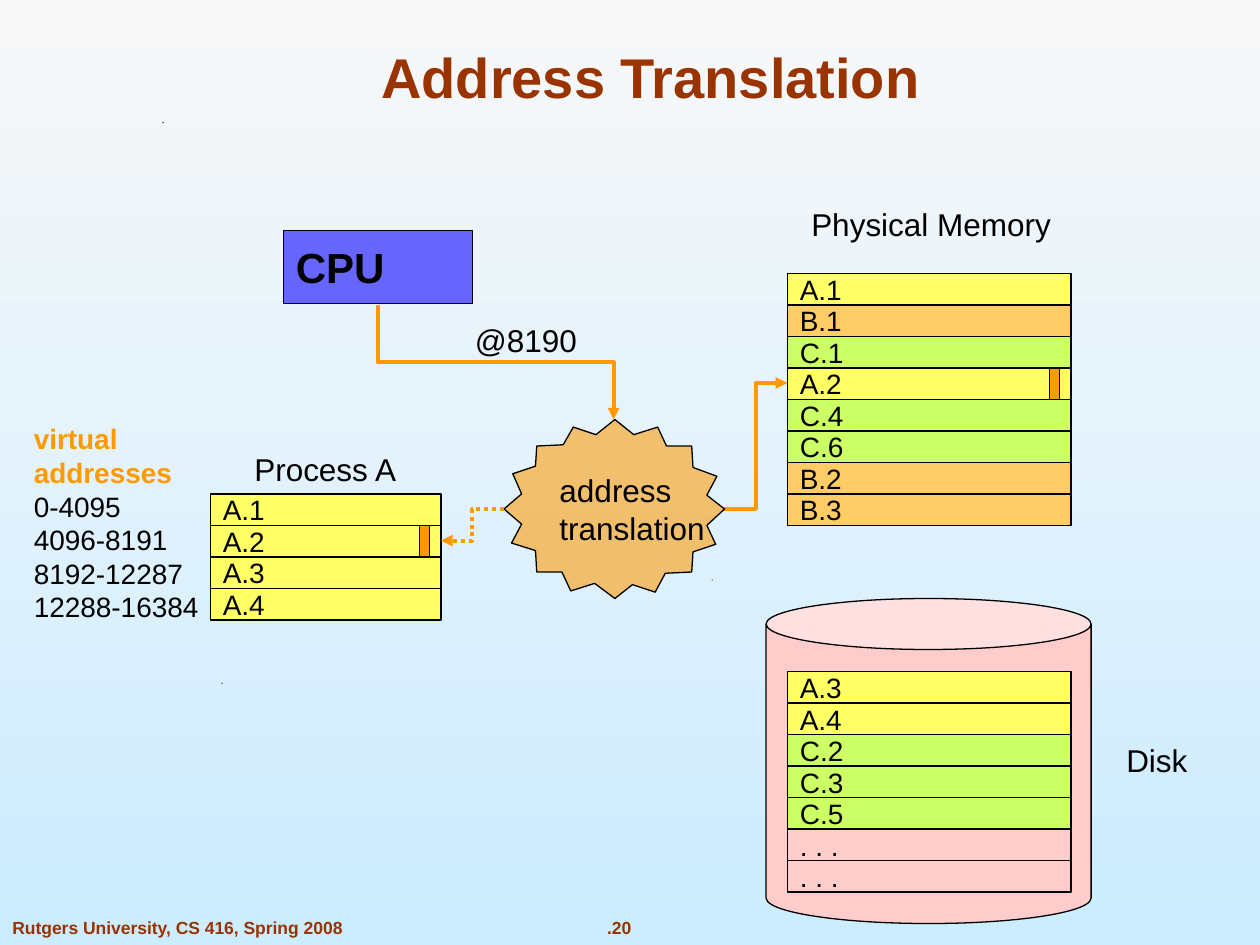
import pptx
import pptx.dml.color
import pptx.enum.dml
import pptx.enum.shapes
import pptx.enum.text
import pptx.oxml.ns
import pptx.util
from lxml import etree

Inches, Pt = pptx.util.Inches, pptx.util.Pt
SHAPE = pptx.enum.shapes.MSO_SHAPE
ANCHOR = pptx.enum.text.MSO_ANCHOR
ALIGN = pptx.enum.text.PP_ALIGN
FIT = pptx.enum.text.MSO_AUTO_SIZE
DASH = pptx.enum.dml.MSO_LINE
qn = pptx.oxml.ns.qn

BROWN, ORANGE, YELLOW, BLACK = "993300", "FF9900", "FFFF66", "000000"
PAGE_FILL = {"A": YELLOW, "B": "FFCC66", "C": "CCFF66"}
ROW = 0.25


def rgb(value):
    return pptx.dml.color.RGBColor.from_string(value)


def write(tf, text, size=18, color=BLACK, bold=False, align=ALIGN.LEFT,
          anchor=ANCHOR.TOP, left=0.1, heading_lines=0):
    """Fill a text frame; the first heading_lines lines are bold orange."""
    tf.word_wrap = False
    tf.vertical_anchor = anchor
    tf.margin_left = Inches(left)
    for i, line in enumerate(text.split("\n")):
        p = tf.paragraphs[0] if i == 0 else tf.add_paragraph()
        p.alignment = align
        r = p.add_run()
        r.text = line
        heading = i < heading_lines
        r.font.name = "Arial"
        r.font.size = Pt(size)
        r.font.bold = bold or heading
        r.font.color.rgb = rgb(ORANGE if heading else color)


class Diagram:
    def __init__(self, prs):
        self.s = prs.slides.add_slide(prs.slide_layouts[6])

    def background(self, top, bottom):
        fill = self.s.background.fill
        fill.gradient()
        fill.gradient_angle = 270
        for stop, color in zip(fill.gradient_stops, (top, bottom)):
            stop.color.rgb = rgb(color)

    def style(self, sp, fill, line=0.75):
        sp.shadow.inherit = False
        if fill:
            sp.fill.solid()
            sp.fill.fore_color.rgb = rgb(fill)
        else:
            sp.fill.background()
        if line:
            sp.line.color.rgb = rgb(BLACK)
            sp.line.width = Pt(line)
        else:
            sp.line.fill.background()
        return sp

    def label(self, text, x, y, w, h, fit=True, **fmt):
        sp = self.s.shapes.add_textbox(Inches(x), Inches(y), Inches(w), Inches(h))
        write(sp.text_frame, text, **fmt)
        sp.text_frame.auto_size = FIT.SHAPE_TO_FIT_TEXT if fit else FIT.NONE

    def shape(self, kind, x, y, w, h, fill, line=0.75, text=None, **fmt):
        sp = self.s.shapes.add_shape(kind, Inches(x), Inches(y), Inches(w), Inches(h))
        if text:
            write(sp.text_frame, text, anchor=ANCHOR.MIDDLE, **fmt)
        return self.style(sp, fill, line)

    def pages(self, names, x, y, w):
        for i, name in enumerate(names):
            self.shape(SHAPE.RECTANGLE, x, y + i * ROW, w, ROW,
                       PAGE_FILL.get(name[0]), line=1, text=name, size=16)

    def outline(self, points, fill, line=0.75):
        start, *rest = [(Inches(x), Inches(y)) for x, y in points]
        builder = self.s.shapes.build_freeform(*start)
        builder.add_line_segments(rest, close=True)
        return self.style(builder.convert_to_shape(), fill, line)

    def arrow(self, x1, y1, x2, y2, down_first=False, dash=None):
        if down_first:  # a quarter turn swaps width and height about the centre
            cx, cy = (x1 + x2) / 2, (y1 + y2) / 2
            dx, dy = (y2 - y1) / 2, (x2 - x1) / 2
            x1, y1, x2, y2 = cx + dx, cy - dy, cx - dx, cy + dy
        c = self.s.shapes.add_connector(
            pptx.enum.shapes.MSO_CONNECTOR.ELBOW,
            Inches(x1), Inches(y1), Inches(x2), Inches(y2))
        spPr = c._element.spPr
        if down_first:
            spPr.find(qn("a:xfrm")).set("rot", "16200000")
        c.line.color.rgb = rgb(ORANGE)
        c.line.width = Pt(2.25)
        if dash:
            c.line.dash_style = dash
        etree.SubElement(spPr.find(qn("a:ln")), qn("a:tailEnd"), type="triangle")
        etree.SubElement(spPr, qn("a:effectLst"))


def main():
    prs = pptx.Presentation()
    prs.slide_width, prs.slide_height = Inches(10), Inches(7.5)
    d = Diagram(prs)
    d.background("F8F8F8", "CCECFF")

    # Background specks
    for x, y in [(1.76, 5.42), (1.3, 4.6), (5.65, 4.6), (1.29, 0.97)]:
        d.outline([(x, y + 0.01), (x + 0.01, y), (x, y)], BLACK, line=None)

    # Footer and title
    footer = dict(size=10, color=BROWN, bold=True)
    d.label(".20", 4.46, 7.23, 0.91, 0.27, align=ALIGN.CENTER, **footer)
    d.label("Rutgers University, CS 416, Spring 2008", 0, 7.23, 2.9, 0.27, **footer)
    d.label("Address Translation", 0.75, 0.25, 8.83, 0.67, fit=False, size=32,
            color=BROWN, bold=True, align=ALIGN.CENTER, anchor=ANCHOR.BOTTOM)

    # Disk, process and physical memory
    disk = d.shape(SHAPE.CAN, 6.08, 4.75, 2.58, 2.58, "FFCCCC")
    disk.adjustments[0] = 0.157
    d.label("Physical Memory", 6.34, 1.58, 2.15, 0.4)
    d.label("Disk", 8.84, 5.83, 0.75, 0.4)
    d.label("Process A", 1.92, 3.52, 1.4, 0.4)
    d.pages(["A.1", "A.2", "A.3", "A.4"], 1.67, 3.92, 1.83)
    d.pages(["A.1", "B.1", "C.1", "A.2", "C.4", "C.6", "B.2", "B.3"], 6.25, 2.17, 2.25)
    d.pages(["A.3", "A.4", "C.2", "C.3", "C.5", ". . .", ". . ."], 6.25, 5.33, 2.25)

    # CPU and the address it issues
    d.shape(SHAPE.RECTANGLE, 2.25, 1.83, 1.5, 0.58, "6666FF",
            text="CPU", size=24, bold=True)
    d.arrow(3, 2.42, 4.87, 3.33, down_first=True)
    d.label("virtual\naddresses\n0-4095\n4096-8191\n8192-12287\n12288-16384",
            0.17, 3.3, 1.6, 1.7, size=16, heading_lines=2)
    d.label("@8190", 3.67, 2.5, 1.05, 0.4)

    # Address translation burst
    d.arrow(5.75, 4.04, 6.25, 3.04)
    burst = d.outline([
        (4, 4.04), (4.14, 4.16), (4.06, 4.31), (4.25, 4.37), (4.26, 4.54),
        (4.46, 4.54), (4.53, 4.69), (4.72, 4.63), (4.88, 4.75), (5.02, 4.64),
        (5.2, 4.7), (5.28, 4.55), (5.49, 4.54), (5.5, 4.38), (5.68, 4.32),
        (5.61, 4.17), (5.75, 4.04), (5.61, 3.93), (5.69, 3.78), (5.5, 3.71),
        (5.49, 3.54), (5.29, 3.54), (5.22, 3.39), (5.03, 3.45), (4.88, 3.33),
        (4.73, 3.45), (4.55, 3.39), (4.47, 3.53), (4.26, 3.54), (4.25, 3.7),
        (4.07, 3.76), (4.14, 3.92)], ORANGE)
    clr = burst._element.spPr.find(qn("a:solidFill")).find(qn("a:srgbClr"))
    etree.SubElement(clr, qn("a:alpha"), val="57000")
    write(burst.text_frame, "address\ntranslation", anchor=ANCHOR.MIDDLE, left=0.44)
    d.arrow(4, 4.04, 3.5, 4.29, dash=DASH.ROUND_DOT)

    # The addressed word in virtual and physical memory
    for x, y in [(3.33, 4.17), (8.33, 2.92)]:
        d.shape(SHAPE.RECTANGLE, x, y, 0.08, ROW, ORANGE)

    prs.save("out.pptx")


if __name__ == "__main__":
    main()
